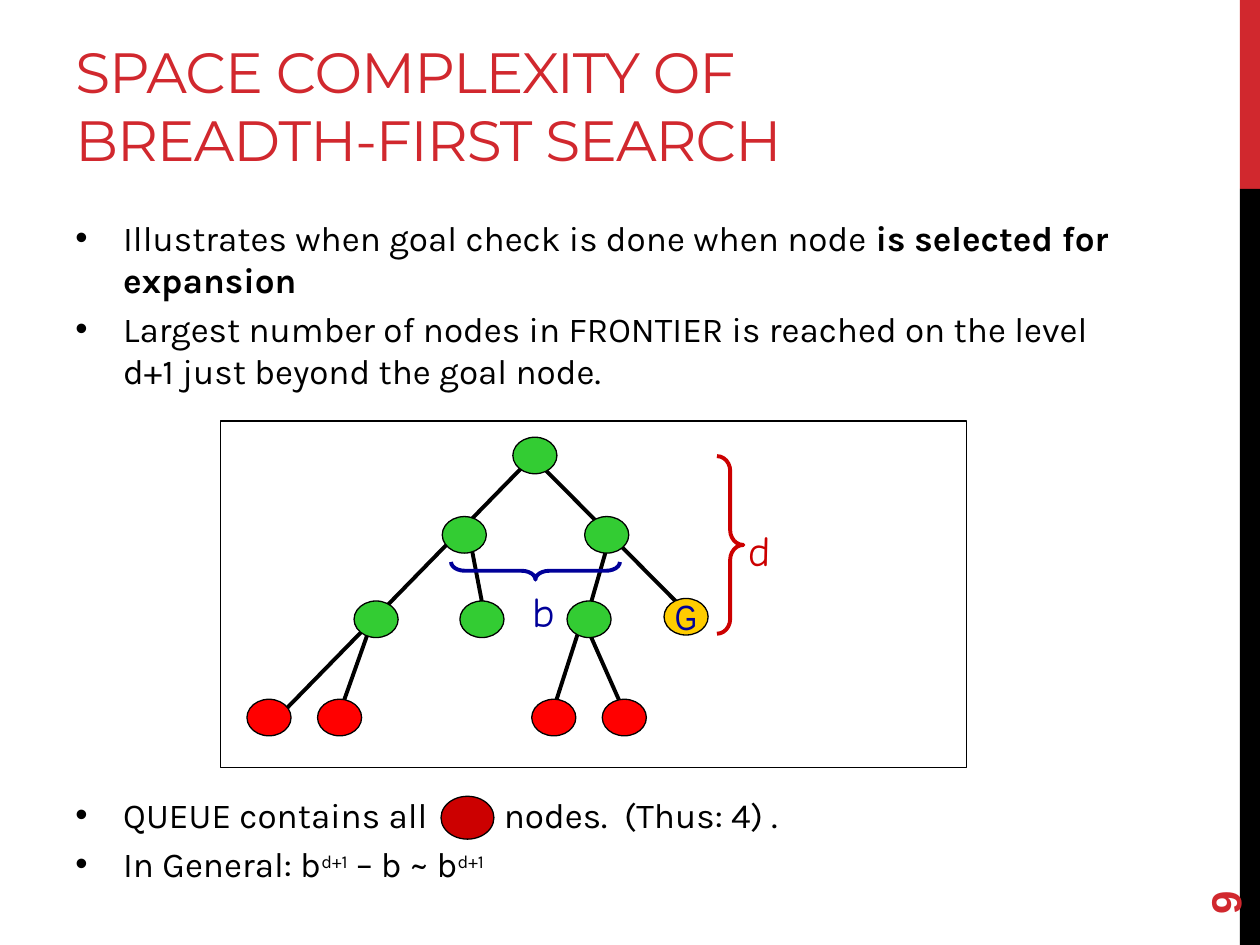
from lxml import etree
from pptx import Presentation
from pptx.dml.color import RGBColor
from pptx.enum import shapes, text
from pptx.oxml import ns
from pptx.util import Inches, Pt

WHITE = RGBColor(0xFF, 0xFF, 0xFF)
BLACK = RGBColor(0x00, 0x00, 0x00)
CRIMSON = RGBColor(0xD1, 0x28, 0x2E)
GREEN = RGBColor(0x33, 0xCC, 0x33)
RED = RGBColor(0xFF, 0x00, 0x00)
GOLD = RGBColor(0xFF, 0xCC, 0x00)
NAVY = RGBColor(0x00, 0x00, 0x99)
DARK_RED = RGBColor(0xCC, 0x00, 0x00)

SHAPE = shapes.MSO_SHAPE
NODE_WIDTH, NODE_HEIGHT = 0.35, 0.29

# Lengths in the tree are inches from the corner of its frame
EDGES = [
    (2.47, 0.28, 3.73, 1.55), (2.89, 1.60, 3.24, 2.39),
    (2.89, 1.52, 2.61, 2.39), (1.20, 1.60, 0.92, 2.39),
    (3.10, 0.89, 2.89, 1.62), (1.97, 0.89, 2.11, 1.62),
    (2.54, 0.22, 0.42, 2.39),
]
# Level top, fill, node lefts
LEVELS = [
    (0.13, GREEN, [2.32]),
    (0.76, GREEN, [1.76, 2.89]),
    (1.43, GREEN, [1.06, 1.90, 2.75]),
    (2.21, RED, [0.21, 0.77, 2.47, 3.03]),
]


def add_shape(parent, kind, box, fill=None, line=None, weight=0.75):
    shape = parent.shapes.add_shape(kind, *map(Inches, box))
    shape.shadow.inherit = False
    if fill is None:
        shape.fill.background()
    else:
        shape.fill.solid()
        shape.fill.fore_color.rgb = fill
    if line is None:
        shape.line.fill.background()
    else:
        shape.line.color.rgb = line
        shape.line.width = Pt(weight)
    return shape


def set_font(font, name, size, color, bold=None):
    font.name, font.size, font.bold = name, Pt(size), bold
    font.color.rgb = color


def add_text(parent, box, words, name, size, color, bold=None, wrap=True):
    frame_box = parent.shapes.add_textbox(*map(Inches, box))
    frame = frame_box.text_frame
    frame.word_wrap = wrap
    para = frame.paragraphs[0]
    para.text = words
    set_font(para.font, name, size, color, bold)
    return frame_box


def add_side_bar(page, box):
    left, top, width, height = box
    split = height / 5
    add_shape(page, SHAPE.RECTANGLE, (left, top, width, split), CRIMSON)
    add_shape(page, SHAPE.RECTANGLE,
              (left, top + split, width, height - split), BLACK)


def add_title(page, box):
    title = add_text(page, box, "SPACE COMPLEXITY OF \vBREADTH-FIRST SEARCH",
                     "Montserrat", 32.4, CRIMSON)
    title.text_frame.vertical_anchor = text.MSO_ANCHOR.BOTTOM
    for span in title.text_frame.paragraphs[0].runs:
        span.font._element.set("spc", "-60")


def add_page_number(page, box):
    number = add_text(page, box, "9", "Arial", 24, CRIMSON, bold=True)
    number.text_frame.vertical_anchor = text.MSO_ANCHOR.MIDDLE
    number.rotation = 270


def add_bullets(parent, box, items):
    """Each item is a list of (words, run attributes)."""
    frame = parent.shapes.add_textbox(*map(Inches, box)).text_frame
    frame.word_wrap = True
    for index, item in enumerate(items):
        para = frame.paragraphs[0] if index == 0 else frame.add_paragraph()
        para.space_before = Pt(4)
        set_font(para.font, "Karla", 20, BLACK)
        for words, attributes in item:
            span = para.add_run()
            span.text = words
            for key, value in attributes.items():
                span.font._element.set(key, value)
        # Hanging bullet, placed ahead of the default run properties
        props = para._p.get_or_add_pPr()
        props.set("marL", str(Inches(0.38)))
        props.set("indent", str(Inches(-0.38)))
        bullet_font = etree.Element(ns.qn("a:buFont"), typeface="Arial")
        bullet = etree.Element(ns.qn("a:buChar"), char="•")
        props.find(ns.qn("a:defRPr")).addprevious(bullet_font)
        bullet_font.addnext(bullet)


def add_tree(page, box):
    left, top = box[:2]
    tree = page.shapes.add_group_shape()
    add_shape(tree, SHAPE.RECTANGLE, box, WHITE, BLACK)

    # Edges, behind the nodes
    for x1, y1, x2, y2 in EDGES:
        ends = (left + x1, top + y1, left + x2, top + y2)
        edge = tree.shapes.add_connector(shapes.MSO_CONNECTOR.STRAIGHT,
                                         *map(Inches, ends))
        edge.line.color.rgb = BLACK
        edge.line.width = Pt(2.25)
        etree.SubElement(edge._element.spPr, ns.qn("a:effectLst"))

    # Nodes
    def add_node(x, y, fill):
        return add_shape(tree, SHAPE.OVAL,
                         (left + x, top + y, NODE_WIDTH, NODE_HEIGHT),
                         fill, BLACK)

    for y, fill, columns in LEVELS:
        for x in columns:
            add_node(x, y, fill)

    goal = add_node(3.52, 1.41, GOLD).text_frame
    goal.word_wrap = False
    goal.vertical_anchor = text.MSO_ANCHOR.MIDDLE
    goal.paragraphs[0].text = "G"
    goal.paragraphs[0].alignment = text.PP_ALIGN.CENTER
    set_font(goal.paragraphs[0].font, "Arial Narrow", 20, NAVY)

    # Braces with their labels
    braces = [
        (SHAPE.LEFT_BRACE, (2.43, 0.52, 0.14, 1.34), 270, 0.79, NAVY,
         "b", (2.38, 1.26)),
        (SHAPE.RIGHT_BRACE, (3.94, 0.28, 0.21, 1.41), 0, 0.56, DARK_RED,
         "d", (4.09, 0.77)),
    ]
    for kind, (x, y, width, height), turn, curl, color, name, spot in braces:
        brace = add_shape(tree, kind, (left + x, top + y, width, height),
                          line=color, weight=2.25)
        brace.rotation = turn
        brace.adjustments[0] = curl
        label = add_text(tree, (left + spot[0], top + spot[1], 0.34, 0.42),
                         name, "Comic Neue", 24, color, wrap=False)
        label.text_frame.auto_size = text.MSO_AUTO_SIZE.SHAPE_TO_FIT_TEXT


def add_summary(page, box):
    summary = page.shapes.add_group_shape()
    power = {"sz": "1800", "baseline": "30000"}
    add_bullets(summary, box, [
        # One widely spaced blank leaves room for the red node
        [("QUEUE contains all", {}), (" ", {"spc": "3860"}),
         ("nodes.  (Thus: 4) .", {})],
        [("In General: b", {}), ("d+1", power),
         (" – b ~ b", {}), ("d+1", power)],
    ])
    add_shape(summary, SHAPE.OVAL, (box[0] + 3, box[1] + 0.07, 0.42, 0.34),
              DARK_RED, BLACK)


def main():
    deck = Presentation()
    deck.slide_width, deck.slide_height = Inches(10), Inches(7.5)
    page = deck.slides.add_slide(deck.slide_layouts[6])
    add_side_bar(page, (9.84, 0, 0.16, 7.5))
    add_title(page, (0.5, 0.17, 8.84, 1.25))
    add_page_number(page, (9, 6.44, 1.44, 0.4))
    add_bullets(page, (0.5, 1.67, 8.67, 1.08), [
        [("Illustrates when goal check is done when node ", {}),
         ("is selected for expansion", {"b": "1"})],
        [("Largest number of nodes in FRONTIER is reached on the level "
          "d+1 just beyond the goal node.", {})],
    ])
    add_tree(page, (1.75, 3.34, 5.92, 2.75))
    add_summary(page, (0.5, 6.25, 8.67, 1.08))
    deck.save("out.pptx")


if __name__ == "__main__":
    main()
